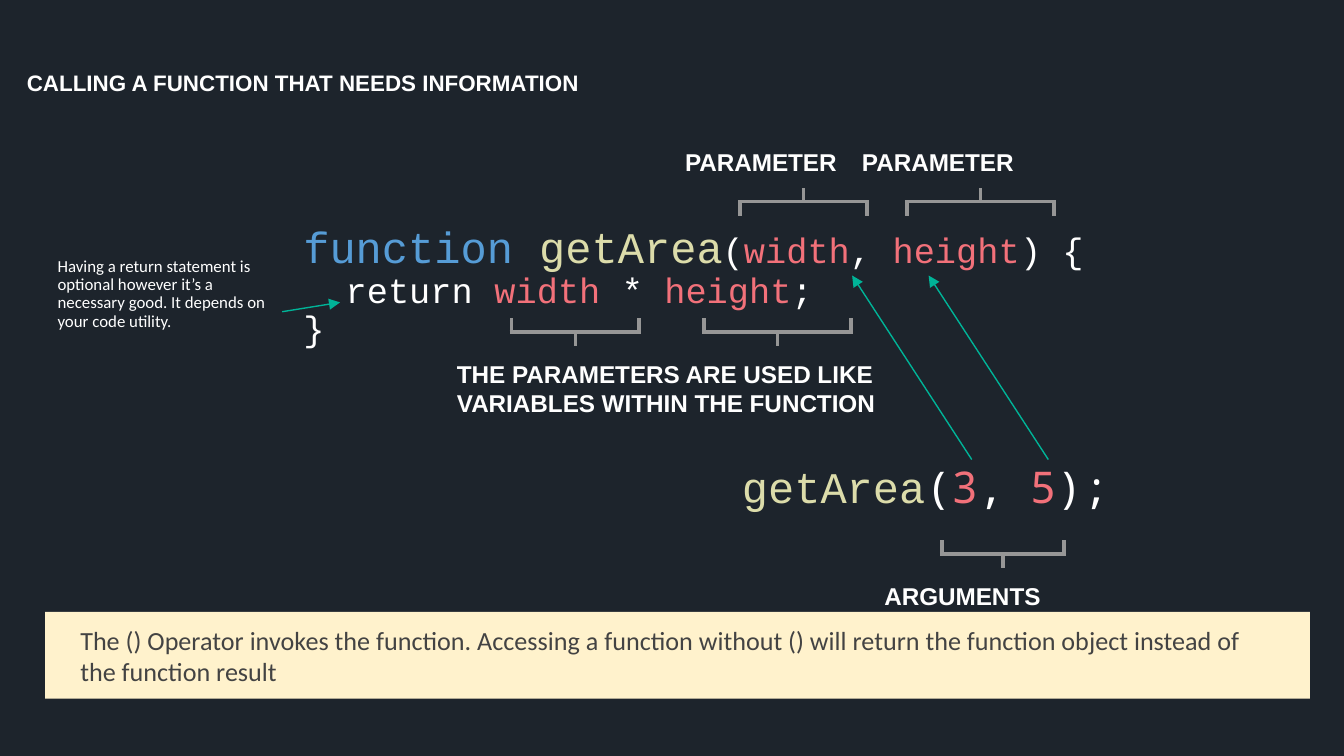
from pptx import Presentation
from pptx.dml.color import RGBColor
from pptx.enum.shapes import MSO_CONNECTOR, MSO_SHAPE
from pptx.enum.text import MSO_ANCHOR, MSO_AUTO_SIZE, PP_ALIGN
from pptx.oxml.ns import qn
from pptx.util import Pt
from lxml.etree import SubElement

WHITE, RED, BLUE, SAND = "FFFFFF", "F2717A", "569CD6", "DCDCAA"
GREY, GREEN = "969696", "00B498"
MONO, WIDE = "Courier New", "Noto Sans Mono"

color = RGBColor.from_string


def draw_line(x1, y1, x2, y2, hue, width):
    line = slide.shapes.add_connector(
        MSO_CONNECTOR.STRAIGHT, Pt(x1), Pt(y1), Pt(x2), Pt(y2))
    line.line.color.rgb = color(hue)
    line.line.width = Pt(width)
    SubElement(line._element.spPr, qn("a:effectLst"))
    return line


def set_frame(shape, box, inset):
    """Place a text shape; inset is left, top, right, bottom."""
    shape.left, shape.top, shape.width, shape.height = map(Pt, box)
    frame = shape.text_frame
    frame.word_wrap = True
    frame.auto_size = MSO_AUTO_SIZE.NONE
    frame.vertical_anchor = MSO_ANCHOR.TOP
    (frame.margin_left, frame.margin_top,
     frame.margin_right, frame.margin_bottom) = map(Pt, inset)
    return frame


deck = Presentation()
deck.slide_width, deck.slide_height = Pt(720), Pt(405)
slide = deck.slides.add_slide(deck.slide_layouts[5])
slide.background.fill.solid()
slide.background.fill.fore_color.rgb = color("1D242C")

# Code: each block is a box, an alignment and lines of (text, size, font, hue)
blocks = [
    ((110, 100.8, 540, 106.5), PP_ALIGN.LEFT, [
        [("function ", 23.4, MONO, BLUE), ("getArea", 23.4, MONO, SAND),
         ("(", 18.9, MONO, WHITE), ("width", 18.9, MONO, RED),
         (", ", 18.9, MONO, WHITE), ("height", 18.9, MONO, RED),
         (") {", 18.9, MONO, WHITE)],
        [("  return ", 18.9, MONO, WHITE), ("width", 18.9, MONO, RED),
         (" * ", 18.9, MONO, WHITE), ("height", 18.9, MONO, RED),
         (";", 18.9, MONO, WHITE)],
        [("}", 18.9, MONO, WHITE)]]),
    ((324.7, 243.4, 342, 37.4), PP_ALIGN.CENTER, [
        [("getArea", 23.4, MONO, SAND), ("(", 23.4, WIDE, WHITE),
         ("3", 23.4, WIDE, RED), (", ", 23.4, WIDE, WHITE),
         ("5", 23.4, WIDE, RED), (");", 23.4, WIDE, WHITE)]]),
]
for box, align, lines in blocks:
    frame = set_frame(slide.shapes.add_textbox(0, 0, 0, 0), box, (52.5, 0, 52.5, 0))
    frame.vertical_anchor = MSO_ANCHOR.MIDDLE
    for i, line in enumerate(lines):
        para = frame.add_paragraph() if i else frame.paragraphs[0]
        para.alignment = align
        para.line_spacing = 0.9
        for text, size, font, hue in line:
            run = para.add_run()
            run.text = text
            run.font.size = Pt(size)
            run.font.name = font
            run.font.color.rgb = color(hue)

# Brackets: left, right, height of the bar, and 1 for a stem below or -1 above
for left, right, y, side in [
        (396.5, 464.5, 108, -1), (486, 564.5, 108, -1),
        (274, 342.5, 178, 1), (377, 456, 178, 1), (504.5, 570, 296.8, 1)]:
    mid = (left + right) / 2
    draw_line(left, y, left, y - 7.5 * side, GREY, 2)
    draw_line(right, y, right, y - 7.5 * side, GREY, 2)
    draw_line(mid, y, mid, y + 7.5 * side, GREY, 2)
    draw_line(left - 1, y, right + 1, y, GREY, 2)

# Plain text
title = slide.shapes.title
note = slide.shapes.add_textbox(0, 0, 0, 0)
band = slide.shapes.add_shape(MSO_SHAPE.RECTANGLE, 0, 0, 0, 0)
band.shadow.inherit = False
band.fill.solid()
band.fill.fore_color.rgb = color("FFF2CC")
band.line.fill.background()

none, edge = (0, 0, 0, 0), (7.2, 7.2, 7.2, 7.2)
texts = [
    (title, "CALLING A FUNCTION THAT NEEDS INFORMATION",
     (7.2, 31.7, 353, 37.4), edge, 12, "Arial", WHITE, 0.9),
    (note, "Having a return statement is optional however it’s a necessary "
     "good. It depends on your code utility.",
     (23.8, 131, 127.4, 72), edge, 9, "Calibri", WHITE, 0.9),
    (band, "The () Operator invokes the function. Accessing a function without "
     "() will return the function object instead of the function result",
     (24.2, 327.8, 677.5, 46.5), (18.8, 6.5, 24.5, 6), 14, "Calibri", "434343", 1),
]
for label, x, y, width, height in [
        ("PARAMETER", 367, 78.8, 127.4, 16),
        ("PARAMETER", 461.8, 78.8, 127.4, 16),
        ("THE PARAMETERS ARE USED LIKE VARIABLES WITHIN THE FUNCTION",
         244.8, 192.4, 241, 36.7),
        ("ARGUMENTS", 473.8, 311.3, 127.4, 16)]:
    texts.append((slide.shapes.add_textbox(0, 0, 0, 0), label,
                  (x, y, width, height), none, 13, "Arial", WHITE, 1))

for shape, text, box, inset, size, font, hue, space in texts:
    frame = set_frame(shape, box, inset)
    frame.text = text
    para = frame.paragraphs[0]
    para.alignment = PP_ALIGN.LEFT
    para.line_spacing = space
    para.font.size = Pt(size)
    para.font.name = font
    para.font.bold = font == "Arial"
    para.font.color.rgb = color(hue)

# Arrows
arrows = [draw_line(*ends, GREEN, 0.75) for ends in [
    (151.2, 167, 182.2, 162), (520.6, 246.2, 456.5, 147.6),
    (561.6, 246.2, 497.5, 147.6)]]
arrows[0].begin_connect(note, 3)
for arrow in arrows:
    SubElement(arrow.line._get_or_add_ln(), qn("a:tailEnd"), type="triangle")

deck.save("out.pptx")
